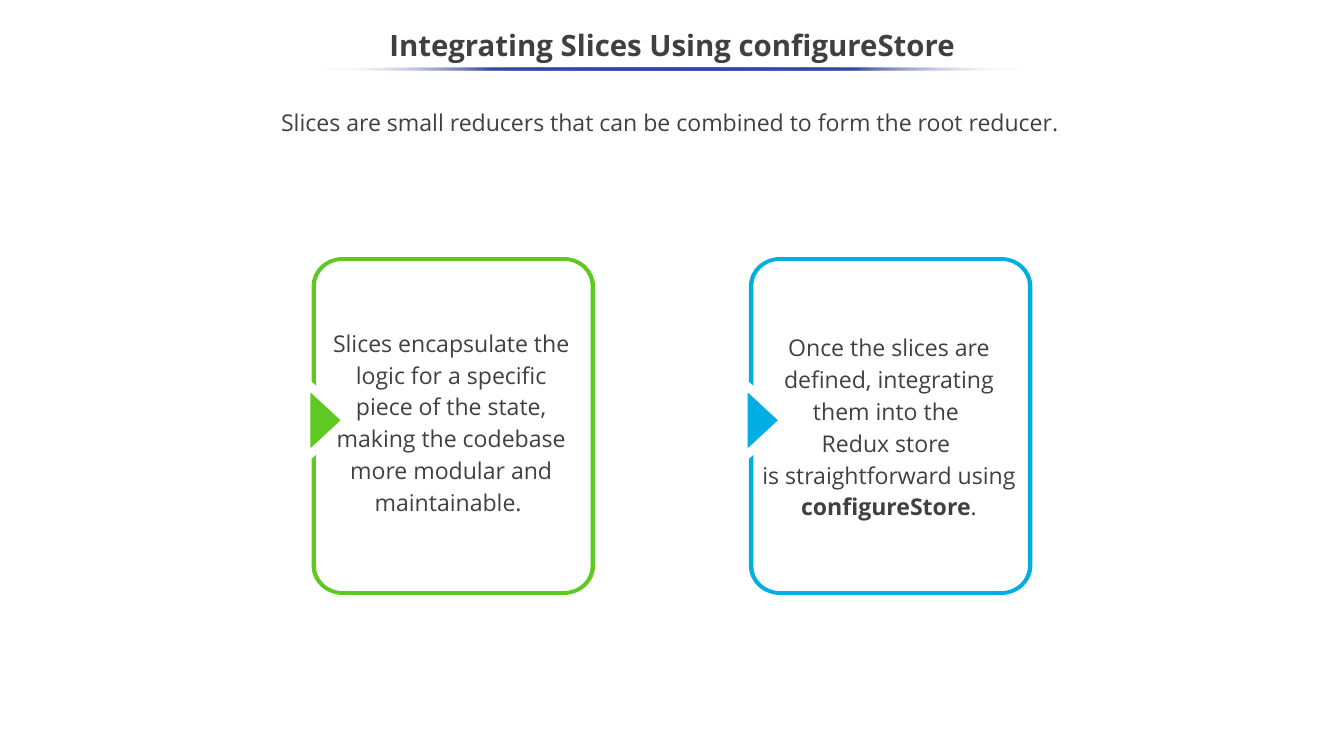
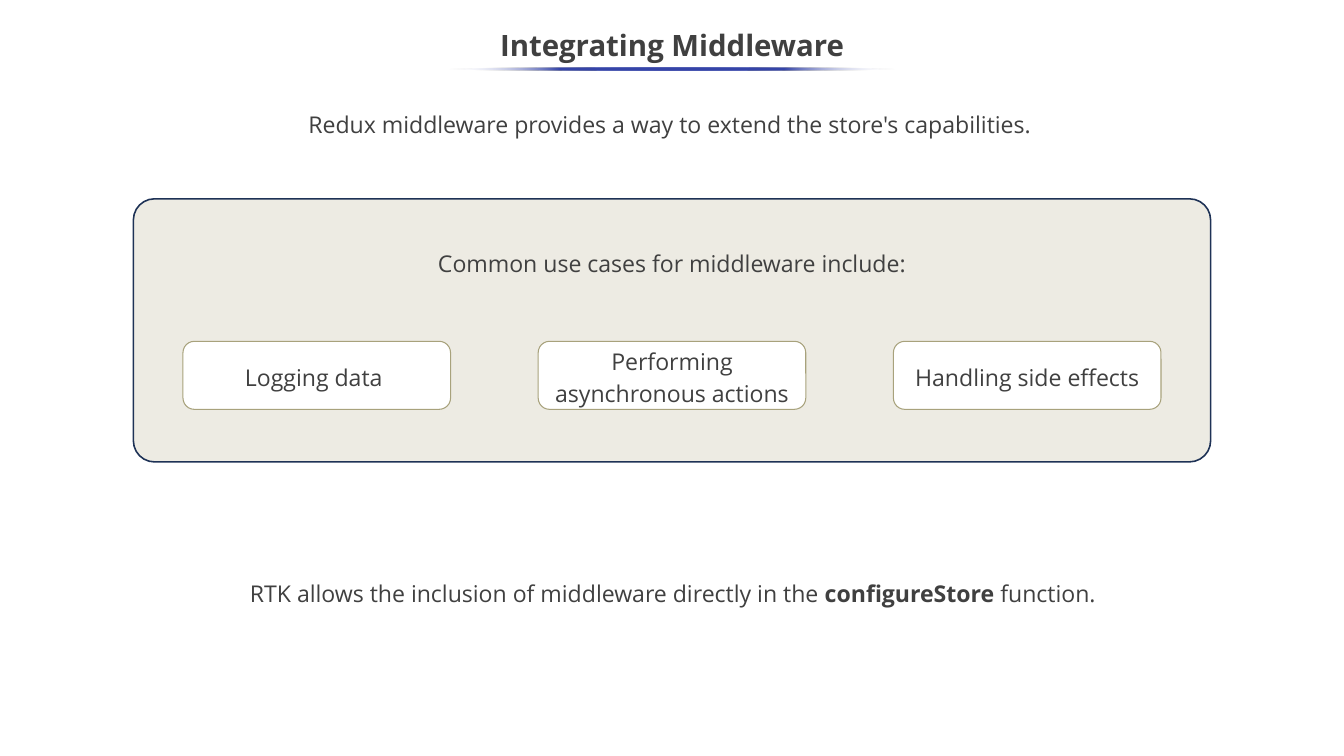
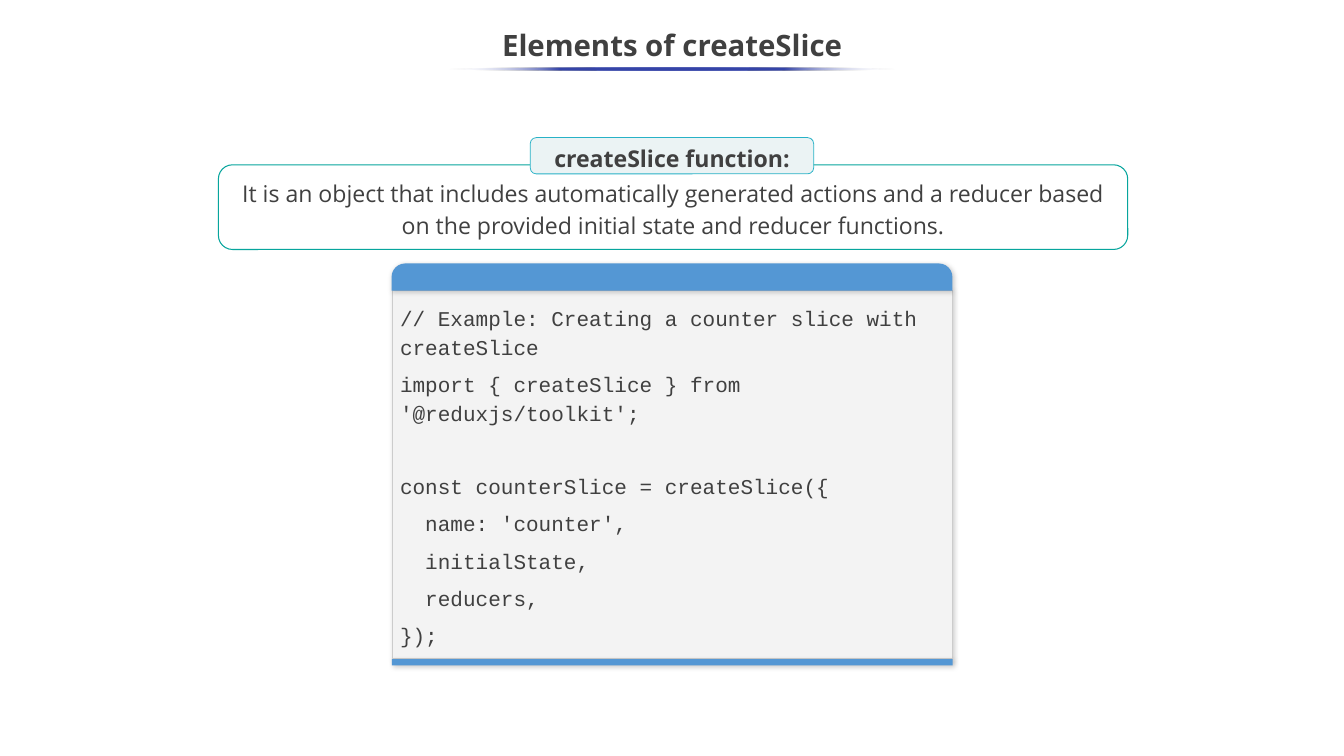
import pptx
import pptx.dml.color
import pptx.enum.shapes
import pptx.enum.text
import pptx.oxml
import pptx.oxml.ns
import pptx.util

rgb = pptx.dml.color.RGBColor.from_string
qn = pptx.oxml.ns.qn
MSO = pptx.enum.shapes.MSO_SHAPE
ALIGN = pptx.enum.text.PP_ALIGN
ANCHOR = pptx.enum.text.MSO_ANCHOR
Pt = pptx.util.Pt
Inches = pptx.util.Inches

INK, WHITE, RULE, BAR = "404040", "FFFFFF", "3645A9", "5497D4"
NS = pptx.oxml.ns.nsdecls("a")
FADE = (
    f'<a:gradFill {NS} rotWithShape="1"><a:gsLst>'
    + "".join(
        f'<a:gs pos="{pos}000"><a:srgbClr val="{c}"><a:alpha val="{a}000"/></a:srgbClr></a:gs>'
        for pos, c, a in [(0, WHITE, 0), (25, RULE, 100), (50, RULE, 100),
                          (75, RULE, 100), (100, WHITE, 0)]
    )
    + '</a:gsLst><a:lin ang="10800000" scaled="0"/></a:gradFill>'
)
SHADOW = (
    f'<a:effectLst {NS}><a:outerShdw blurRad="57150" dist="19050" dir="2820000" '
    'algn="ctr" rotWithShape="0"><a:srgbClr val="000000"><a:alpha val="20000"/>'
    "</a:srgbClr></a:outerShdw></a:effectLst>"
)

prs = pptx.Presentation()
prs.slide_width, prs.slide_height = Inches(17.78), Inches(10)
vw, vh = prs.slide_width / 100, prs.slide_height / 100


def write(tf, text, size=22, font="Open Sans", bold=False, align=ALIGN.CENTER,
          spacing=1.15, after=0, anchor=ANCHOR.TOP, inset=0.05):
    tf.word_wrap = True
    tf.auto_size = pptx.enum.text.MSO_AUTO_SIZE.NONE
    tf.vertical_anchor = anchor
    tf.margin_left = tf.margin_right = Inches(0.1)
    tf.margin_top = tf.margin_bottom = Inches(inset)
    for i, line in enumerate(text.split("\n")):
        p = tf.add_paragraph() if i else tf.paragraphs[0]
        p.alignment, p.line_spacing = align, spacing
        p.space_before, p.space_after = Pt(0), Pt(after)
        for j, piece in enumerate(line.split("**")):
            for k, words in enumerate(piece.split("\v")):
                if k:
                    p.add_line_break()
                r = p.add_run()
                r.text = words
                r.font.name, r.font.size = font, Pt(size)
                r.font.bold = bold or j % 2 == 1
                r.font.color.rgb = rgb(INK)


def put(s, kind, cx, y, w, h, text="", fill=None, line=None, weight=1, **fmt):
    at = [round(v) for v in ((cx - w / 2) * vw, y * vh, w * vw, h * vh)]
    if kind is None:
        sp = s.shapes.add_textbox(*at)
    else:
        sp = s.shapes.add_shape(kind, *at)
        sp.shadow.inherit = False
        if fill:
            sp.fill.solid()
            sp.fill.fore_color.rgb = rgb(fill)
        if line:
            sp.line.color.rgb = rgb(line)
            sp.line.width = Pt(weight)
        else:
            sp.line.fill.background()
        fmt = {"anchor": ANCHOR.MIDDLE, **fmt}
    if text:
        write(sp.text_frame, text, **fmt)
    return sp


slides = []
for title, rule_w in [("Integrating Slices Using configureStore", 53.54),
                      ("Integrating Middleware", 33.24),
                      ("Elements of createSlice", 33.24)]:
    s = prs.slides.add_slide(prs.slide_layouts[5])
    sp = s.shapes.title
    sp.left, sp.top = 0, round(2.5 * vh)
    sp.width, sp.height = prs.slide_width, round(7.5 * vh)
    write(sp.text_frame, title, size=28, bold=True, spacing=0.9, anchor=ANCHOR.MIDDLE)
    rule = put(s, MSO.OVAL, 50, 8.9, rule_w, 0.4)
    rule._element.spPr.find(qn("a:prstGeom")).addnext(pptx.oxml.parse_xml(FADE))
    slides.append(s)

s = slides[0]
put(s, None, 50.06, 13.8, 84.25, 4.1, inset=0,
    text="Slices are small reducers that can be combined to form the root reducer. ")
cards = [
    ("5EC921", 33.57, 42.5, 18.95,
     "Slices encapsulate the logic for a specific piece of the state, "
     "making the codebase more modular and maintainable. "),
    ("00AEE3", 66.14, 43.1, 20.25,
     "Once the slices are defined, integrating them into the \vRedux store \v"
     "is straightforward using **configureStore**."),
]
card_w, card_top, card_h = 21.08, 34, 44.7
sides = [(-1, 0), (0, -1), (1, 0), (0, 1)]
bend = 0.55
for i, (colour, text_cx, text_y, text_w, text) in enumerate(cards):
    card = s.shapes.add_group_shape()
    left = 50 + (2 * i - 1) * 16.27 - card_w / 2
    rings = []
    for dx, dy, rx, ry in [(0, 0, 2.33, 3.8), (0.32, 0.5, 2, 3.3)]:
        x1, x2 = left + dx + rx, left + card_w - dx - rx
        y1, y2 = card_top + dy + ry, card_top + card_h - dy - ry
        ring = [(left + dx, 50.5 + dy)]
        for corner, (x, y) in enumerate([(x1, y1), (x2, y1), (x2, y2), (x1, y2)]):
            (ux, uy), (wx, wy) = sides[corner], sides[(corner + 1) % 4]
            for a, b in [(1, 0), (1, bend), (bend, 1), (0, 1)]:
                ring.append((x + rx * (a * ux + b * wx), y + ry * (a * uy + b * wy)))
        rings.append(ring + [(left + dx, 60.7 - dy)])
    frame = rings[0] + rings[1][::-1]
    arrow = [(left - 0.1, 51.9), (left - 0.1, 59.3), (left + 2.15, 55.6)]
    for outline in (frame, arrow):
        points = [(x * vw, y * vh) for x, y in outline]
        fb = card.shapes.build_freeform(*points[0])
        fb.add_line_segments(points[1:], close=True)
        sp = fb.convert_to_shape()
        sp.shadow.inherit = False
        sp.fill.solid()
        sp.fill.fore_color.rgb = rgb(colour)
        sp.line.fill.background()
        if outline is frame:
            steps = list(sp._element.spPr.find(".//" + qn("a:path")))
            for corner in range(8):
                start = 18 * (corner // 4) + 4 * (corner % 4) + 2
                curve = pptx.oxml.parse_xml(f"<a:cubicBezTo {NS}/>")
                steps[start].addprevious(curve)
                for step in steps[start:start + 3]:
                    curve.append(step[0])
                    step.getparent().remove(step)
    put(card, None, text_cx, text_y, text_w, 26.3, text)

s = slides[1]
panel = put(s, MSO.ROUNDED_RECTANGLE, 50, 26.3, 80.15, 34.8,
            fill="D8D5C4", line="1E3256", weight=1.5)
panel.adjustments[0] = 0.08
tint = panel._element.spPr.find(".//" + qn("a:srgbClr"))
tint.append(pptx.oxml.parse_xml(f'<a:alpha {NS} val="46000"/>'))
for cx, y, h, text in [
    (50.06, 14, 4.1, "Redux middleware provides a way to extend the store's capabilities. "),
    (50, 32.5, 4.1, "Common use cases for middleware include:"),
    (50.06, 76.1, 9.9,
     "RTK allows the inclusion of middleware directly in the **configureStore** function."),
]:
    put(s, None, cx, y, 84.25, h, text, inset=0)
for i, text in enumerate(["Logging data ", "Performing asynchronous actions", "Handling side effects"]):
    put(s, MSO.ROUNDED_RECTANGLE, 50 + (i - 1) * 26.43, 45.15, 19.91, 9, text,
        fill=WHITE, line="A8A27C")

s = slides[2]
code = """// Example: Creating a counter slice with createSlice
import { createSlice } from '@reduxjs/toolkit';
const counterSlice = createSlice({
  name: 'counter',
  initialState,
  reducers,
});"""
window = s.shapes.add_group_shape()
body = put(window, MSO.RECTANGLE, 50.02, 38.45, 41.62, 48.7, code, fill="F3F3F3", line="CCCCCC",
           weight=0.75, size=20, font="Courier New", align=ALIGN.LEFT, spacing=1.14,
           after=8, inset=0.1)
body.text_frame.paragraphs[1].space_after = Pt(43)
foot = put(window, MSO.RECTANGLE, 50.02, 87.2, 41.73, 0.8, fill=BAR)
head = put(window, MSO.ROUND_2_SAME_RECTANGLE, 50, 34.85, 41.73, 3.6, fill=BAR)
head.adjustments[0] = 0.5
for sp in (body, foot, head):
    effects = sp._element.spPr.find(qn("a:effectLst"))
    effects.getparent().replace(effects, pptx.oxml.parse_xml(SHADOW))
put(s, MSO.ROUNDED_RECTANGLE, 50.08, 21.8, 67.66, 11.2, fill=WHITE, line="07A59D",
    text="It is an object that includes automatically generated actions and a reducer "
         "based on the provided initial state and reducer functions.")
put(s, MSO.ROUNDED_RECTANGLE, 50, 18.2, 21.09, 4.8, "createSlice function:",
    fill="EBF3F4", line="28B2C7", weight=0.75, bold=True, inset=0)

prs.save("out.pptx")
